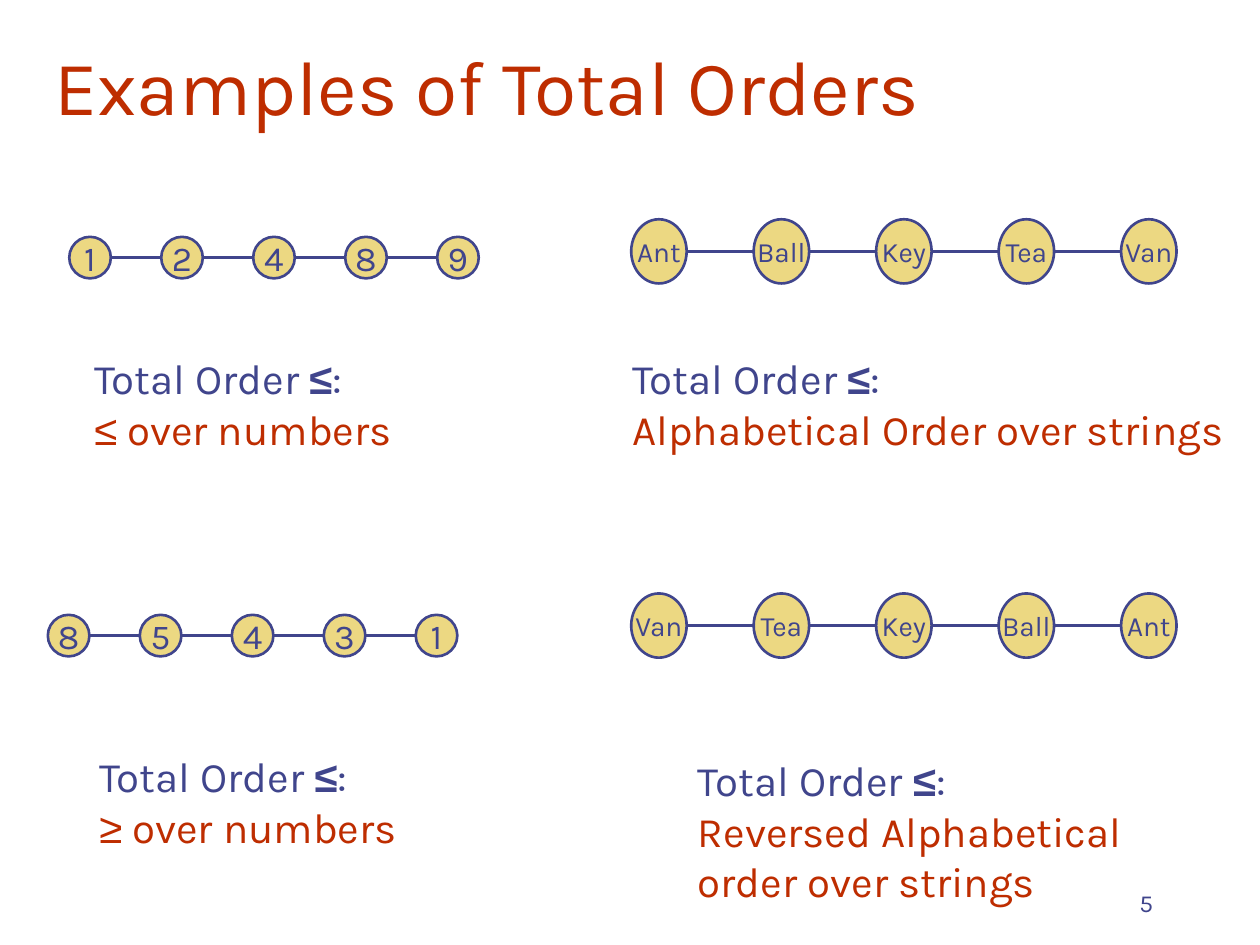
from dataclasses import dataclass

from lxml import etree
from pptx import Presentation
from pptx import util as u
from pptx.dml.color import RGBColor
from pptx.enum import shapes, text
from pptx.oxml.ns import qn

INDIGO = RGBColor(0x40, 0x45, 0x8C)
RUST = RGBColor(0xBE, 0x2D, 0x00)
SAND = RGBColor(0xEC, 0xD8, 0x82)
LINE_WIDTH = u.Pt(1.5)
MATH_SYMBOLS = "≤≥"


@dataclass
class Chain:
    """A row of evenly spaced nodes joined by one line."""
    left: float
    top: float
    labels: list[str]
    width: float
    height: float
    pitch: float
    size: int


@dataclass
class Caption:
    left: float
    top: float
    width: float
    height: float
    order: str


NUMBER_NODE = dict(width=0.33, height=0.33, pitch=0.73, size=20)
WORD_NODE = dict(width=0.44, height=0.51, pitch=0.972, size=16)

CHAINS = [
    Chain(0.55, 1.88, ["1", "2", "4", "8", "9"], **NUMBER_NODE),
    Chain(5.01, 1.74, ["Ant", "Ball", "Key", "Tea", "Van"], **WORD_NODE),
    Chain(0.38, 4.88, ["8", "5", "4", "3", "1"], **NUMBER_NODE),
    Chain(5.01, 4.71, ["Van", "Tea", "Key", "Ball", "Ant"], **WORD_NODE),
]
CAPTIONS = [
    Caption(4.92, 2.75, 5.23, 0.9, "Alphabetical Order over strings"),
    Caption(5.44, 5.94, 6.4, 1.3, "Reversed Alphabetical\norder over strings"),
    Caption(0.65, 2.75, 3.96, 0.9, "≤ over numbers"),
    Caption(0.69, 5.91, 3.96, 0.9, "≥ over numbers"),
]


def add_text(paragraph, content: str, *, size: float, color: RGBColor,
             font: str = "Karla", bold: bool = False) -> None:
    """Append formatted text, turning newlines into line breaks."""
    for index, line in enumerate(content.split("\n")):
        if index:
            paragraph.add_line_break()
        if line:
            run = paragraph.add_run()
            run.text = line
            run.font.size = u.Pt(size)
            run.font.name = font
            run.font.bold = bold
            run.font.color.rgb = color


def add_box(slide, left: float, top: float, width: float, height: float):
    """Add a wrapping text box and return its text frame."""
    box = slide.shapes.add_textbox(*map(u.Inches, (left, top, width, height)))
    box.text_frame.word_wrap = True
    return box.text_frame


def draw_caption(slide, caption: Caption) -> None:
    frame = add_box(slide, caption.left, caption.top, caption.width, caption.height)
    frame.auto_size = text.MSO_AUTO_SIZE.SHAPE_TO_FIT_TEXT
    paragraph = frame.paragraphs[0]
    paragraph.space_before = u.Pt(15)
    add_text(paragraph, "Total Order ", size=24, color=INDIGO)
    add_text(paragraph, "≤", size=24, color=INDIGO, font="Arial", bold=True)
    add_text(paragraph, ":\n", size=24, color=INDIGO)
    order = caption.order
    if order[0] in MATH_SYMBOLS:
        add_text(paragraph, order[0], size=24, color=RUST, font="Arial")
        order = order[1:]
    add_text(paragraph, order, size=24, color=RUST)


def draw_chain(slide, chain: Chain) -> None:
    group = slide.shapes.add_group_shape()

    # Line behind the nodes
    middle = u.Inches(chain.top + chain.height / 2)
    last_left = chain.left + (len(chain.labels) - 1) * chain.pitch
    line = group.shapes.add_connector(
        shapes.MSO_CONNECTOR.STRAIGHT,
        u.Inches(chain.left + chain.width), middle, u.Inches(last_left), middle)
    line.line.color.rgb = INDIGO
    line.line.width = LINE_WIDTH
    etree.SubElement(line._element.spPr, qn("a:effectLst"))

    # Nodes
    for index, label in enumerate(chain.labels):
        node = group.shapes.add_shape(
            shapes.MSO_SHAPE.OVAL, u.Inches(chain.left + index * chain.pitch),
            u.Inches(chain.top), u.Inches(chain.width), u.Inches(chain.height))
        node.shadow.inherit = False
        node.fill.solid()
        node.fill.fore_color.rgb = SAND
        node.line.color.rgb = INDIGO
        node.line.width = LINE_WIDTH
        frame = node.text_frame
        frame.word_wrap = False
        frame.vertical_anchor = text.MSO_ANCHOR.MIDDLE
        frame.paragraphs[0].alignment = text.PP_ALIGN.CENTER
        add_text(frame.paragraphs[0], label, size=chain.size, color=INDIGO)


def main() -> None:
    presentation = Presentation()
    presentation.slide_width = u.Inches(10)
    presentation.slide_height = u.Inches(7.5)
    slide = presentation.slides.add_slide(presentation.slide_layouts[5])

    # Title
    title = slide.shapes.title
    title.left, title.top = u.Inches(0.33), u.Inches(0.17)
    title.width, title.height = u.Inches(9.5), u.Inches(0.92)
    frame = title.text_frame
    frame.auto_size = text.MSO_AUTO_SIZE.NONE
    frame.vertical_anchor = text.MSO_ANCHOR.BOTTOM
    frame.paragraphs[0].alignment = text.PP_ALIGN.LEFT
    add_text(frame.paragraphs[0], "Examples of Total Orders", size=44, color=RUST)

    # Slide number
    frame = add_box(slide, 7.17, 6.83, 2.08, 0.5)
    frame.vertical_anchor = text.MSO_ANCHOR.BOTTOM
    frame.paragraphs[0].alignment = text.PP_ALIGN.RIGHT
    add_text(frame.paragraphs[0], "5", size=14, color=INDIGO)

    # Captions and chains
    for caption in CAPTIONS:
        draw_caption(slide, caption)
    for chain in CHAINS:
        draw_chain(slide, chain)

    presentation.save("out.pptx")


if __name__ == "__main__":
    main()
